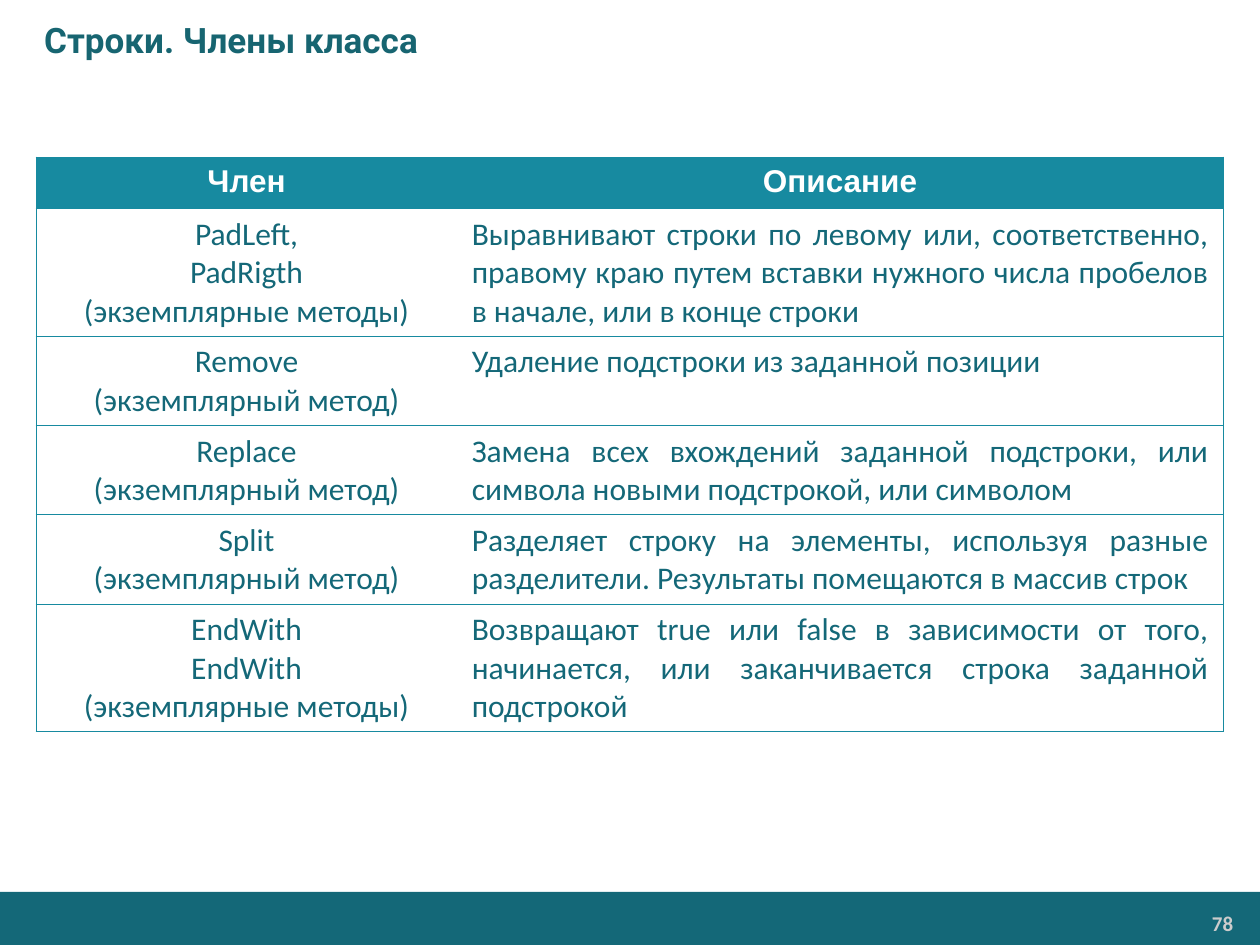
from dataclasses import dataclass

import lxml.etree
import pptx
import pptx.dml.color
import pptx.enum.shapes
import pptx.enum.text
import pptx.oxml.ns
import pptx.slide
import pptx.table
import pptx.text.text
import pptx.util
from pptx.util import Cm

ALIGN = pptx.enum.text.PP_ALIGN
ANCHOR = pptx.enum.text.MSO_ANCHOR


@dataclass(frozen=True)
class TextStyle:
    font: str
    size: int
    color: str
    bold: bool = False


@dataclass(frozen=True)
class Theme:
    band: str = "146878"
    accent: str = "178AA0"
    border_width: float = 0.75
    title: TextStyle = TextStyle("Roboto", 20, "176571", True)
    header: TextStyle = TextStyle("Arial", 18, "FFFFFF", True)
    body: TextStyle = TextStyle("Calibri", 18, "146878")
    number: TextStyle = TextStyle("Calibri", 12, "CCCCCC", True)


@dataclass(frozen=True)
class Member:
    names: str
    description: str


THEME = Theme()
MEMBERS = [
    Member("PadLeft,\nPadRigth\n(экземплярные методы)",
           "Выравнивают строки по левому или, соответственно, правому краю "
           "путем вставки нужного числа пробелов в начале, или в конце строки"),
    Member("Remove\n(экземплярный метод)", "Удаление подстроки из заданной позиции"),
    Member("Replace\n(экземплярный метод)",
           "Замена всех вхождений заданной подстроки, или символа "
           "новыми подстрокой, или символом"),
    Member("Split\n(экземплярный метод)",
           "Разделяет строку на элементы, используя разные разделители. "
           "Результаты помещаются в массив строк"),
    Member("EndWith\nEndWith\n(экземплярные методы)",
           "Возвращают true или false в зависимости от того, начинается, "
           "или заканчивается строка заданной подстрокой"),
]
COLUMN_WIDTHS = (Cm(8.48), Cm(15.45))
HEADER_HEIGHT = Cm(1.04)
LINE_HEIGHT = Cm(0.77)
CELL_MARGIN_X, CELL_MARGIN_Y = Cm(0.3), Cm(0.13)


def rgb(color: str) -> pptx.dml.color.RGBColor:
    return pptx.dml.color.RGBColor.from_string(color)


def write(frame: pptx.text.text.TextFrame, text: str, style: TextStyle, alignment: ALIGN) -> None:
    frame.word_wrap = True
    frame.text = text
    for paragraph in frame.paragraphs:
        paragraph.alignment = alignment
        for run in paragraph.runs:
            run.font.name = style.font
            run.font.size = pptx.util.Pt(style.size)
            run.font.bold = style.bold
            run.font.color.rgb = rgb(style.color)


def set_borders(cell: pptx.table._Cell, hidden_side: str) -> None:
    """Outline the cell on every side but the one facing the other column."""
    qn = pptx.oxml.ns.qn
    properties = cell._tc.get_or_add_tcPr()
    for position, side in enumerate(("lnL", "lnR", "lnT", "lnB")):
        line = lxml.etree.Element(qn(f"a:{side}"), w=str(pptx.util.Pt(THEME.border_width)))
        if side == hidden_side:
            lxml.etree.SubElement(line, qn("a:noFill"))
        else:
            fill = lxml.etree.SubElement(line, qn("a:solidFill"))
            lxml.etree.SubElement(fill, qn("a:srgbClr"), val=THEME.accent)
        properties.insert(position, line)


def fill_row(table: pptx.table.Table, index: int, texts: tuple[str, str], style: TextStyle,
             alignments: tuple[ALIGN, ALIGN], is_header: bool = False) -> None:
    for column, (text, alignment) in enumerate(zip(texts, alignments)):
        cell = table.cell(index, column)
        cell.margin_left = cell.margin_right = CELL_MARGIN_X
        cell.margin_top = cell.margin_bottom = CELL_MARGIN_Y
        if is_header:
            cell.fill.solid()
            cell.fill.fore_color.rgb = rgb(THEME.accent)
        else:
            cell.fill.background()
        set_borders(cell, ("lnR", "lnL")[column])
        write(cell.text_frame, text, style, alignment)


def add_member_table(slide: pptx.slide.Slide) -> None:
    row_heights = [HEADER_HEIGHT] + [
        2 * CELL_MARGIN_Y + LINE_HEIGHT * len(member.names.splitlines()) for member in MEMBERS
    ]
    table = slide.shapes.add_table(
        len(row_heights), len(COLUMN_WIDTHS), Cm(0.73), Cm(3.17),
        sum(COLUMN_WIDTHS), sum(row_heights)).table
    for column, width in zip(table.columns, COLUMN_WIDTHS):
        column.width = width
    for row, height in zip(table.rows, row_heights):
        row.height = height

    fill_row(table, 0, ("Член", "Описание"), THEME.header, (ALIGN.CENTER, ALIGN.CENTER), True)
    for index, member in enumerate(MEMBERS, start=1):
        fill_row(table, index, (member.names, member.description), THEME.body,
                 (ALIGN.CENTER, ALIGN.JUSTIFY))


def add_title(slide: pptx.slide.Slide) -> None:
    frame = slide.shapes.add_textbox(0, 0, Cm(25.4), Cm(1.6)).text_frame
    frame.vertical_anchor = ANCHOR.MIDDLE
    frame.margin_left = Cm(0.89)
    write(frame, "Строки. Члены класса", THEME.title, ALIGN.LEFT)


def add_footer(slide: pptx.slide.Slide) -> None:
    band = slide.shapes.add_shape(
        pptx.enum.shapes.MSO_SHAPE.RECTANGLE, 0, Cm(17.98), Cm(25.4), Cm(1.07))
    band.shadow.inherit = False
    band.fill.solid()
    band.fill.fore_color.rgb = rgb(THEME.band)
    band.line.fill.background()

    frame = slide.shapes.add_textbox(Cm(20.9), Cm(18.26), Cm(4.14), Cm(0.71)).text_frame
    frame.margin_left = frame.margin_right = Cm(0.18)
    frame.margin_top = frame.margin_bottom = Cm(0.1)
    write(frame, "78", THEME.number, ALIGN.RIGHT)


def main() -> None:
    presentation = pptx.Presentation()
    presentation.slide_width, presentation.slide_height = Cm(25.4), Cm(19.05)
    slide = presentation.slides.add_slide(presentation.slide_layouts[6])
    add_footer(slide)
    add_title(slide)
    add_member_table(slide)
    presentation.save("out.pptx")


if __name__ == "__main__":
    main()
